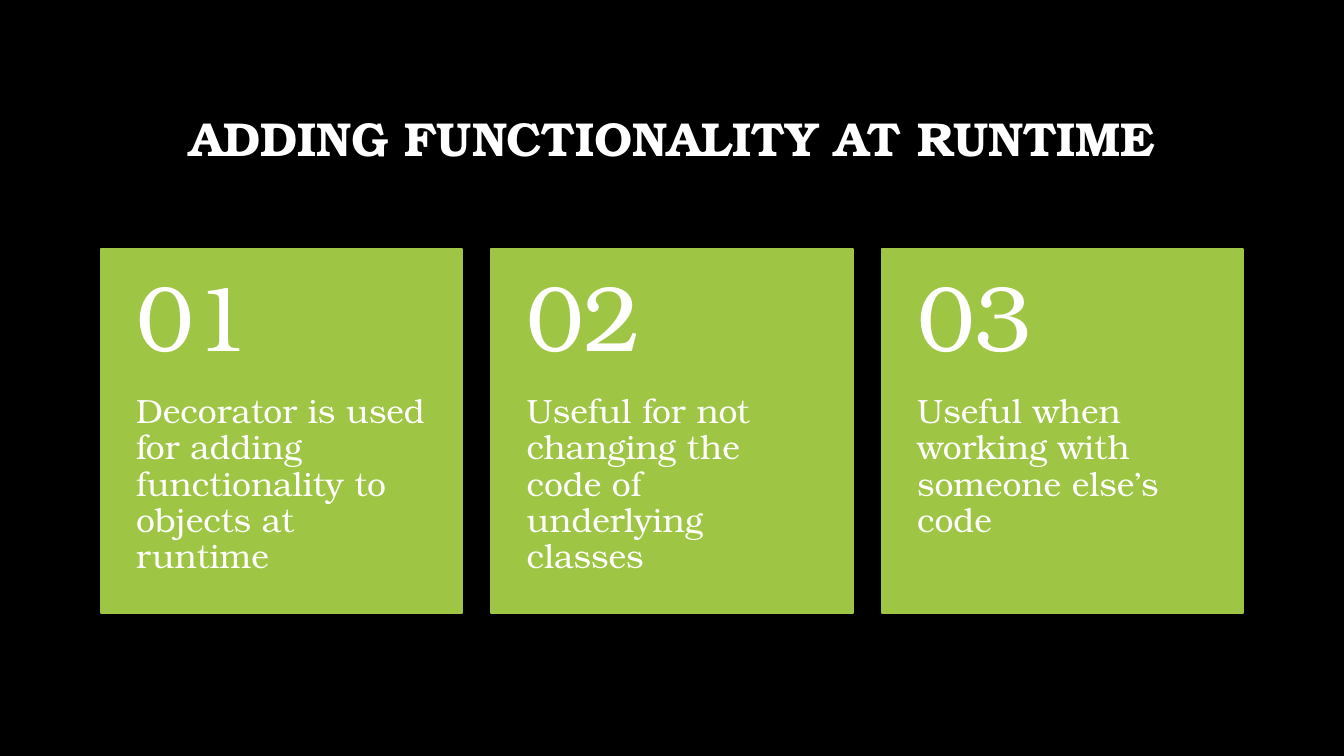
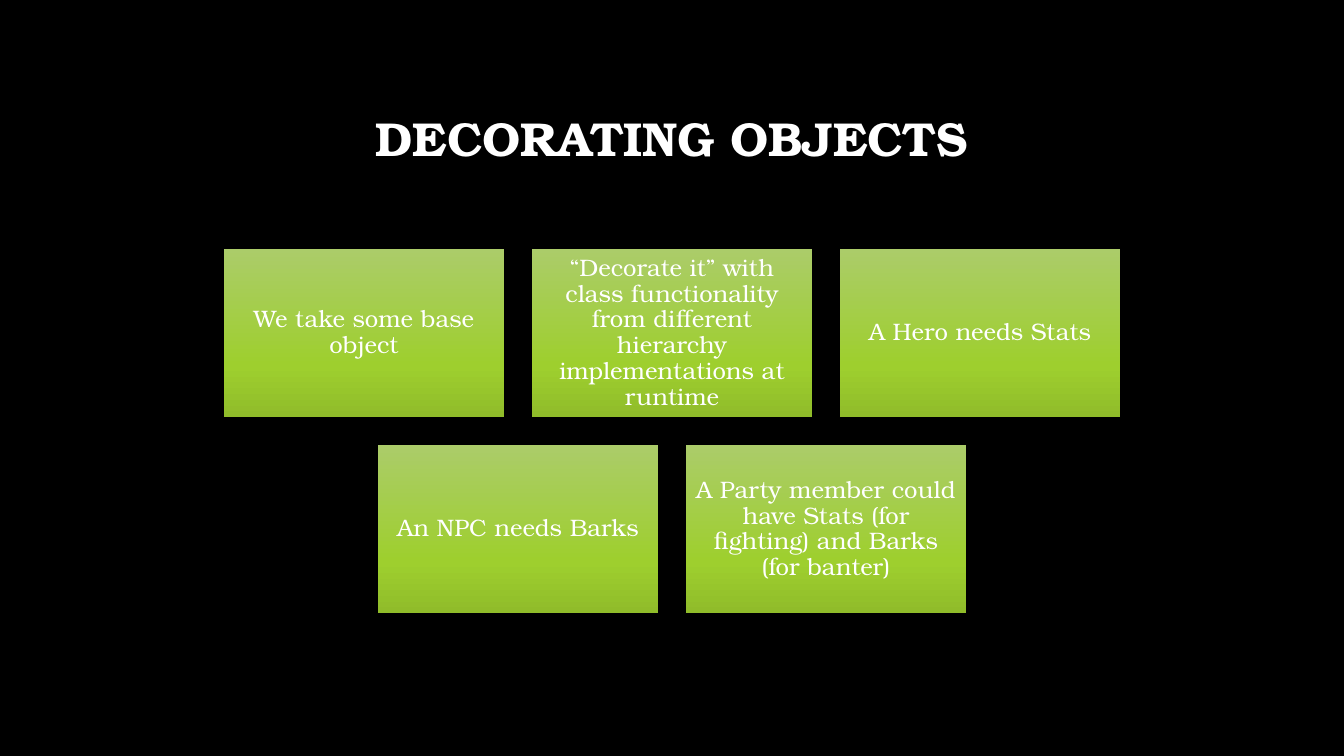
from copy import deepcopy

from pptx import Presentation, util as u
from pptx.dml.color import RGBColor
from pptx.enum import shapes, text

# Shared style
COLORS = {"ground": "000000", "ink": "FFFFFF", "card": "9EC544"}
GRADIENT = [(0, "ABCC69"), (0.69, "9ECF2E"), (1, "90BC2A")]
FONT = "TeX Gyre Bonum"
WIDTH, HEIGHT = 13.33, 7.5
MARGIN, CONTENT_TOP = 1, 2.47
CONTENT_WIDTH = WIDTH - 2 * MARGIN
CENTER, LEFT = text.PP_ALIGN.CENTER, text.PP_ALIGN.LEFT
MIDDLE, TOP = text.MSO_ANCHOR.MIDDLE, text.MSO_ANCHOR.TOP


def write(box, words, size, align=CENTER, anchor=MIDDLE, insets=(0.1, 0.05, 0.1, 0.05), bold=False):
    """Fill a box with one styled paragraph; insets are left, top, right, bottom."""
    frame = box.text_frame
    frame.text = words
    frame.word_wrap = True
    frame.auto_size = text.MSO_AUTO_SIZE.NONE
    frame.vertical_anchor = anchor
    (frame.margin_left, frame.margin_top,
     frame.margin_right, frame.margin_bottom) = map(u.Inches, insets)
    para = frame.paragraphs[0]
    para.alignment = align
    para.line_spacing = 0.9
    font = para.runs[0].font
    font.name, font.size, font.bold = FONT, u.Pt(size), bold
    font.color.rgb = RGBColor.from_string(COLORS["ink"])


def add_page(title):
    """Add a title-only page with the shared title style."""
    page = deck.slides.add_slide(deck.slide_layouts[5])
    box = page.shapes.title
    box.left, box.top, box.width, box.height = map(u.Inches, (MARGIN, 0.67, CONTENT_WIDTH, 1.45))
    write(box, title, 34, bold=True)
    return page


deck = Presentation()
deck.slide_width, deck.slide_height = u.Inches(WIDTH), u.Inches(HEIGHT)
ground = deck.slide_master.background.fill
ground.solid()
ground.fore_color.rgb = RGBColor.from_string(COLORS["ground"])

# Slide 1: three numbered cards
page = add_page("ADDING FUNCTIONALITY AT RUNTIME")
reasons = [
    "Decorator is used for adding functionality to objects at runtime",
    "Useful for not changing the code of underlying classes",
    "Useful when working with someone else’s code",
]
card_gap, card_height = 0.29, 3.61
card_width = (CONTENT_WIDTH - card_gap * (len(reasons) - 1)) / len(reasons)
number_height = card_height * 0.4
for column, reason in enumerate(reasons):
    left = MARGIN + column * (card_width + card_gap)
    card = page.shapes.add_shape(
        shapes.MSO_SHAPE.RECTANGLE,
        *map(u.Inches, (left, CONTENT_TOP, card_width, card_height)))
    card.shadow.inherit = False
    card.fill.solid()
    card.fill.fore_color.rgb = RGBColor.from_string(COLORS["card"])
    card.line.color.rgb = RGBColor.from_string(COLORS["card"])
    card.line.width = u.Pt(1.5)

    body = page.shapes.add_textbox(*map(u.Inches, (
        left, CONTENT_TOP + number_height, card_width, card_height - number_height)))
    write(body, reason, 24, LEFT, TOP, (0.35, 0, 0.35, 0.36))
    number = page.shapes.add_textbox(*map(u.Inches, (
        left, CONTENT_TOP, card_width, number_height)))
    write(number, f"{column + 1:02}", 66, LEFT, MIDDLE, (0.35, 0.18, 0.35, 0.18))

# Slide 2: centred rows of gradient tiles
page = add_page("DECORATING OBJECTS")
tile_rows = [
    ["We take some base object",
     "“Decorate it” with class functionality from different hierarchy implementations at runtime",
     "A Hero needs Stats"],
    ["An NPC needs Barks",
     "A Party member could have Stats (for fighting) and Barks (for banter)"],
]
tile_width, tile_height, tile_gap = 2.78, 1.67, 0.275
for row, labels in enumerate(tile_rows):
    row_width = len(labels) * (tile_width + tile_gap) - tile_gap
    top = CONTENT_TOP + row * (tile_height + tile_gap)
    for column, label in enumerate(labels):
        left = (WIDTH - row_width) / 2 + column * (tile_width + tile_gap)
        tile = page.shapes.add_shape(
            shapes.MSO_SHAPE.RECTANGLE,
            *map(u.Inches, (left, top, tile_width, tile_height)))
        tile.shadow.inherit = False
        tile.line.fill.background()
        tile.fill.gradient()
        tile.fill.gradient_angle = 270
        # The default gradient has two stops; a third is cloned
        stop_list = tile._element.xpath(".//a:gsLst")[0]
        stop_list.append(deepcopy(stop_list[-1]))
        for stop, (position, color) in zip(tile.fill.gradient_stops, GRADIENT):
            stop.position = position
            stop.color.rgb = RGBColor.from_string(color)
        write(tile, label, 17, insets=(0.07,) * 4)

deck.save("out.pptx")
